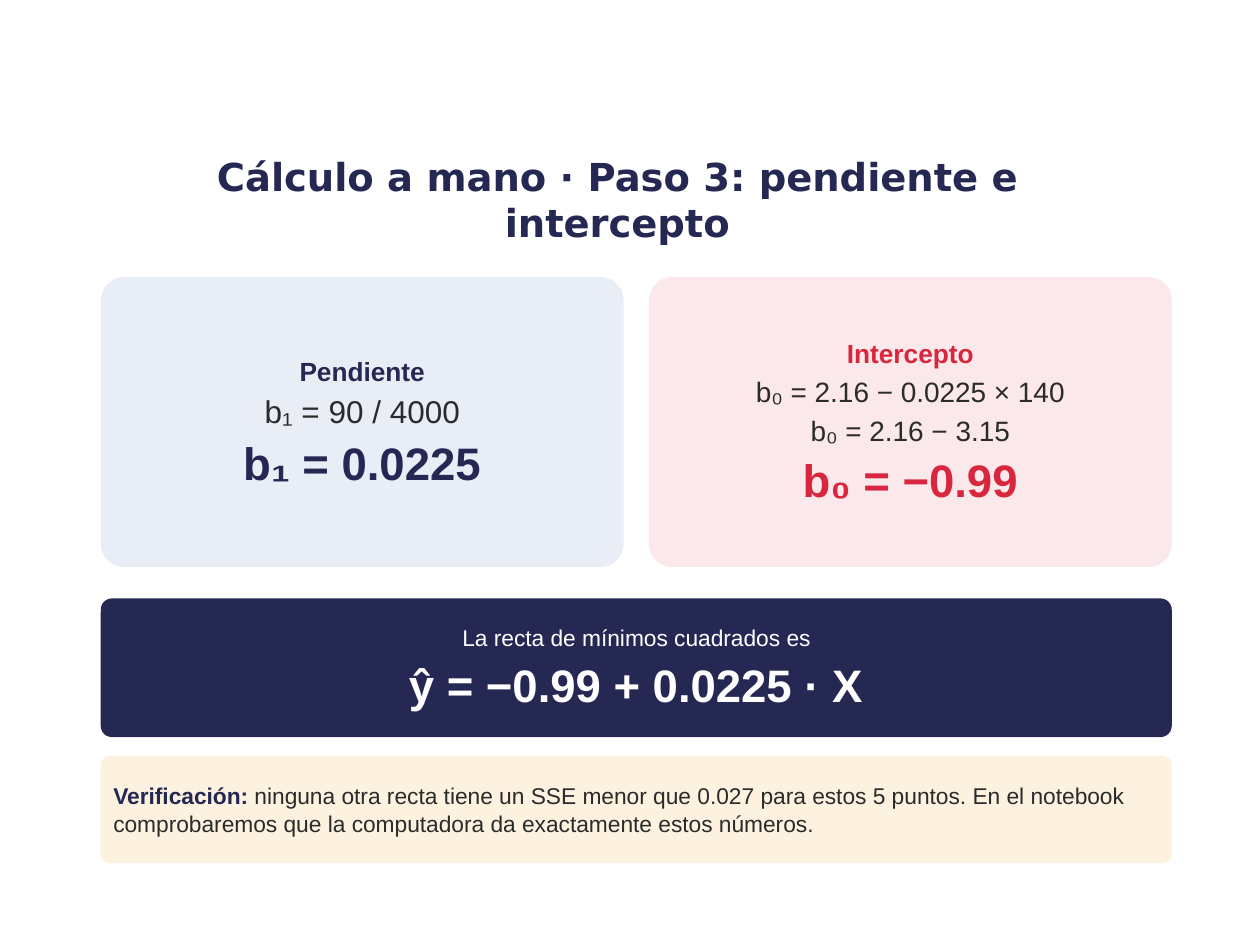
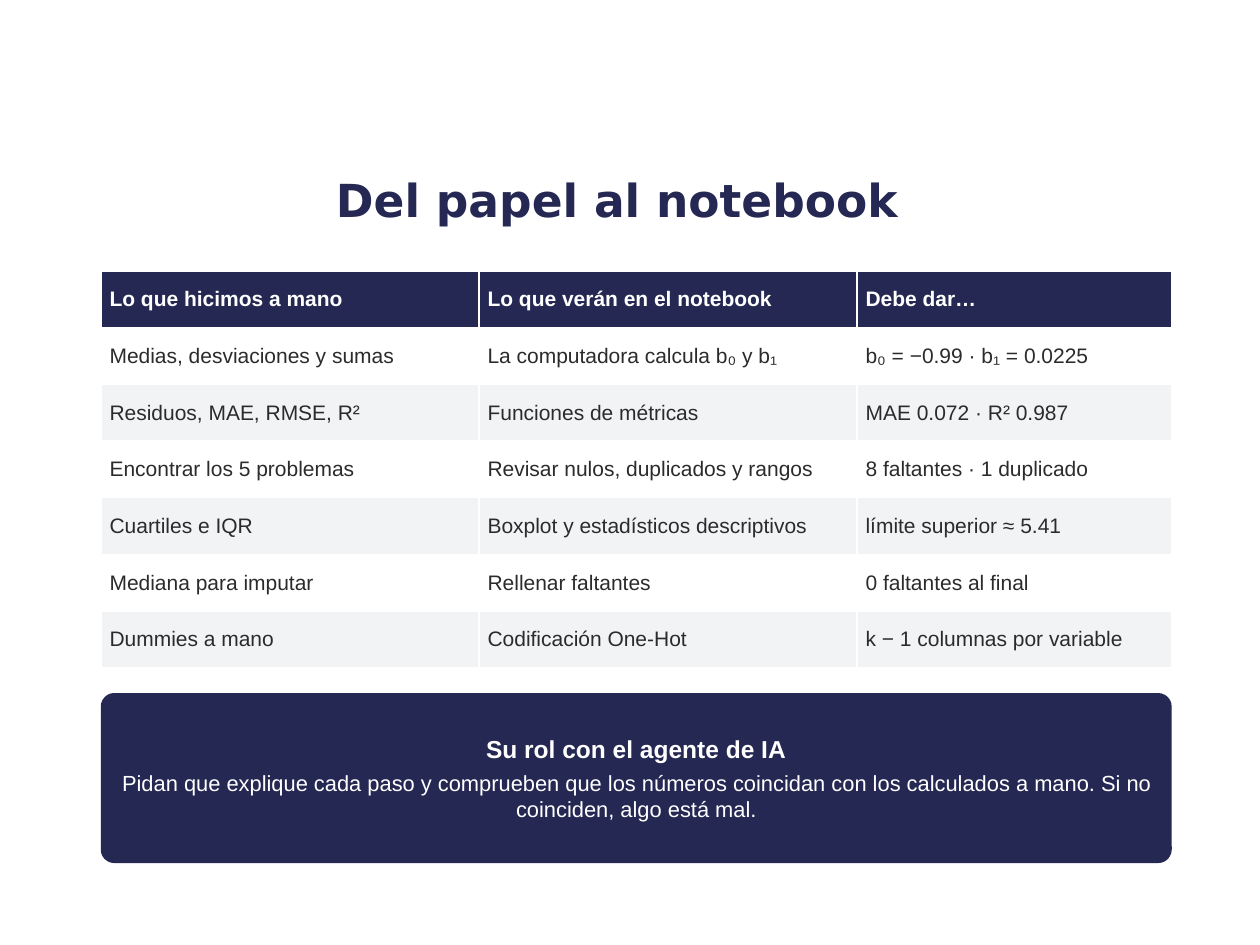
"""Build two slides that close a hand-made least-squares regression exercise."""
from dataclasses import dataclass
from typing import NamedTuple

from pptx import Presentation
from pptx.dml.color import RGBColor
from pptx.enum.shapes import MSO_SHAPE as Preset
from pptx.enum.text import MSO_ANCHOR as Anchor, MSO_AUTO_SIZE as AutoSize, PP_ALIGN as Align
from pptx.presentation import Presentation as Deck
from pptx.slide import Slide
from pptx.text.text import TextFrame
from pptx.util import Inches, Pt


@dataclass(frozen=True)
class Theme:
    navy: str = "242852"
    red: str = "D7263D"
    ink: str = "2B2B2B"
    white: str = "FFFFFF"
    pale_blue: str = "E8EDF6"
    pale_red: str = "FBE8EA"
    cream: str = "FDF2E0"
    stripe: str = "F2F3F5"
    title_font: str = "DejaVu Sans"
    body_font: str = "Arial"
    title_size: float = 26
    long_title_size: float = 22
    result_size: float = 26
    formula_size: float = 18
    step_size: float = 16
    heading_size: float = 15
    callout_size: float = 14
    note_size: float = 13
    advice_size: float = 12.5
    table_size: float = 12


THEME = Theme()
LEFT, WIDTH, GAP = 0.8, 8.5, 0.2
CARD_WIDTH = (WIDTH - GAP) / 2
ROW_HEIGHT = 0.45


class Span(NamedTuple):
    text: str
    size: float
    color: str
    bold: bool = False


class Place(NamedTuple):
    left: float
    top: float
    width: float
    height: float


class Panel(NamedTuple):
    place: Place
    fill: str
    lines: list[list[Span]]
    align: Align = Align.CENTER


PANELS = [
    Panel(Place(LEFT, 2.2, CARD_WIDTH, 2.3), THEME.pale_blue, [
        [Span("Pendiente", THEME.heading_size, THEME.navy, True)],
        [Span("b₁ = 90 / 4000", THEME.formula_size, THEME.ink)],
        [Span("b₁ = 0.0225", THEME.result_size, THEME.navy, True)],
    ]),
    Panel(Place(LEFT + CARD_WIDTH + GAP, 2.2, CARD_WIDTH, 2.3), THEME.pale_red, [
        [Span("Intercepto", THEME.heading_size, THEME.red, True)],
        [Span("b₀ = 2.16 − 0.0225 × 140", THEME.step_size, THEME.ink)],
        [Span("b₀ = 2.16 − 3.15", THEME.step_size, THEME.ink)],
        [Span("b₀ = −0.99", THEME.result_size, THEME.red, True)],
    ]),
    Panel(Place(LEFT, 4.75, WIDTH, 1.1), THEME.navy, [
        [Span("La recta de mínimos cuadrados es", THEME.note_size, THEME.white)],
        [Span("ŷ = −0.99 + 0.0225 · X", THEME.result_size, THEME.white, True)],
    ]),
    Panel(Place(LEFT, 6, WIDTH, 0.85), THEME.cream, [[
        Span("Verificación: ", THEME.note_size, THEME.navy, True),
        Span("ninguna otra recta tiene un SSE menor que 0.027 para estos 5 puntos. "
             "En el notebook comprobaremos que la computadora da exactamente estos números.",
             THEME.note_size, THEME.ink),
    ]], Align.LEFT),
]

AGENT_ROLE = Panel(Place(LEFT, 5.5, WIDTH, 1.35), THEME.navy, [
    [Span("Su rol con el agente de IA", THEME.callout_size, THEME.white, True)],
    [Span("Pidan que explique cada paso y comprueben que los números coincidan con los "
          "calculados a mano. Si no coinciden, algo está mal.", THEME.advice_size, THEME.white)],
])

COLUMN_WIDTHS = [3, 3, 2.5]
COMPARISON = [
    ["Lo que hicimos a mano", "Lo que verán en el notebook", "Debe dar…"],
    ["Medias, desviaciones y sumas", "La computadora calcula b₀ y b₁", "b₀ = −0.99 · b₁ = 0.0225"],
    ["Residuos, MAE, RMSE, R²", "Funciones de métricas", "MAE 0.072 · R² 0.987"],
    ["Encontrar los 5 problemas", "Revisar nulos, duplicados y rangos", "8 faltantes · 1 duplicado"],
    ["Cuartiles e IQR", "Boxplot y estadísticos descriptivos", "límite superior ≈ 5.41"],
    ["Mediana para imputar", "Rellenar faltantes", "0 faltantes al final"],
    ["Dummies a mano", "Codificación One-Hot", "k − 1 columnas por variable"],
]


def inches(place: Place) -> list[Inches]:
    return [Inches(length) for length in place]


def write(frame: TextFrame, lines: list[list[Span]], align: Align,
          font: str = THEME.body_font, space_after: float = 0) -> None:
    frame.text = "\n".join(spans[0].text for spans in lines)
    for para, spans in zip(frame.paragraphs, lines):
        para.alignment = align
        para.space_before, para.space_after = Pt(0), Pt(space_after)
        for extra in spans[1:]:
            para.add_run().text = extra.text
        for run, span in zip(para.runs, spans):
            run.font.name, run.font.size, run.font.bold = font, Pt(span.size), span.bold
            run.font.color.rgb = RGBColor.from_string(span.color)


def add_titled_page(deck: Deck, title: str, size: float) -> Slide:
    page = deck.slides.add_slide(deck.slide_layouts[5])
    box = page.shapes.title
    box.left, box.top, box.width, box.height = inches(Place(0.75, 1.18, 8.3, 0.8))
    frame = box.text_frame
    frame.word_wrap, frame.auto_size = True, AutoSize.NONE
    frame.vertical_anchor = Anchor.MIDDLE
    write(frame, [[Span(title, size, THEME.navy, True)]], Align.CENTER, THEME.title_font)
    return page


def add_panel(page: Slide, panel: Panel) -> None:
    box = page.shapes.add_shape(Preset.ROUNDED_RECTANGLE, *inches(panel.place))
    box.adjustments[0] = 0.08
    box.shadow.inherit = False
    box.fill.solid()
    box.fill.fore_color.rgb = RGBColor.from_string(panel.fill)
    box.line.fill.background()
    frame = box.text_frame
    frame.word_wrap, frame.vertical_anchor = True, Anchor.MIDDLE
    frame.margin_left = frame.margin_right = Inches(0.08)
    frame.margin_top = frame.margin_bottom = Inches(0.08)
    write(frame, panel.lines, panel.align, space_after=3)


def add_comparison(page: Slide) -> None:
    place = Place(LEFT, 2.15, WIDTH, ROW_HEIGHT * len(COMPARISON))
    table = page.shapes.add_table(len(COMPARISON), len(COLUMN_WIDTHS), *inches(place)).table
    for column, width in zip(table.columns, COLUMN_WIDTHS):
        column.width = Inches(width)
    for index, texts in enumerate(COMPARISON):
        header = index == 0
        fill = THEME.navy if header else THEME.white if index % 2 else THEME.stripe
        color = THEME.white if header else THEME.ink
        table.rows[index].height = Inches(ROW_HEIGHT)
        for cell, text in zip(table.rows[index].cells, texts):
            cell.fill.solid()
            cell.fill.fore_color.rgb = RGBColor.from_string(fill)
            cell.vertical_anchor = Anchor.MIDDLE
            cell.margin_left = cell.margin_right = Inches(0.07)
            cell.margin_top = cell.margin_bottom = Inches(0.03)
            write(cell.text_frame, [[Span(text, THEME.table_size, color, header)]], Align.LEFT)


def main() -> None:
    deck = Presentation()
    deck.slide_width, deck.slide_height = Inches(10), Inches(7.5)

    calculation = add_titled_page(
        deck, "Cálculo a mano · Paso 3: pendiente e intercepto", THEME.long_title_size)
    for panel in PANELS:
        add_panel(calculation, panel)

    notebook = add_titled_page(deck, "Del papel al notebook", THEME.title_size)
    add_comparison(notebook)
    add_panel(notebook, AGENT_ROLE)

    deck.save("out.pptx")


if __name__ == "__main__":
    main()
